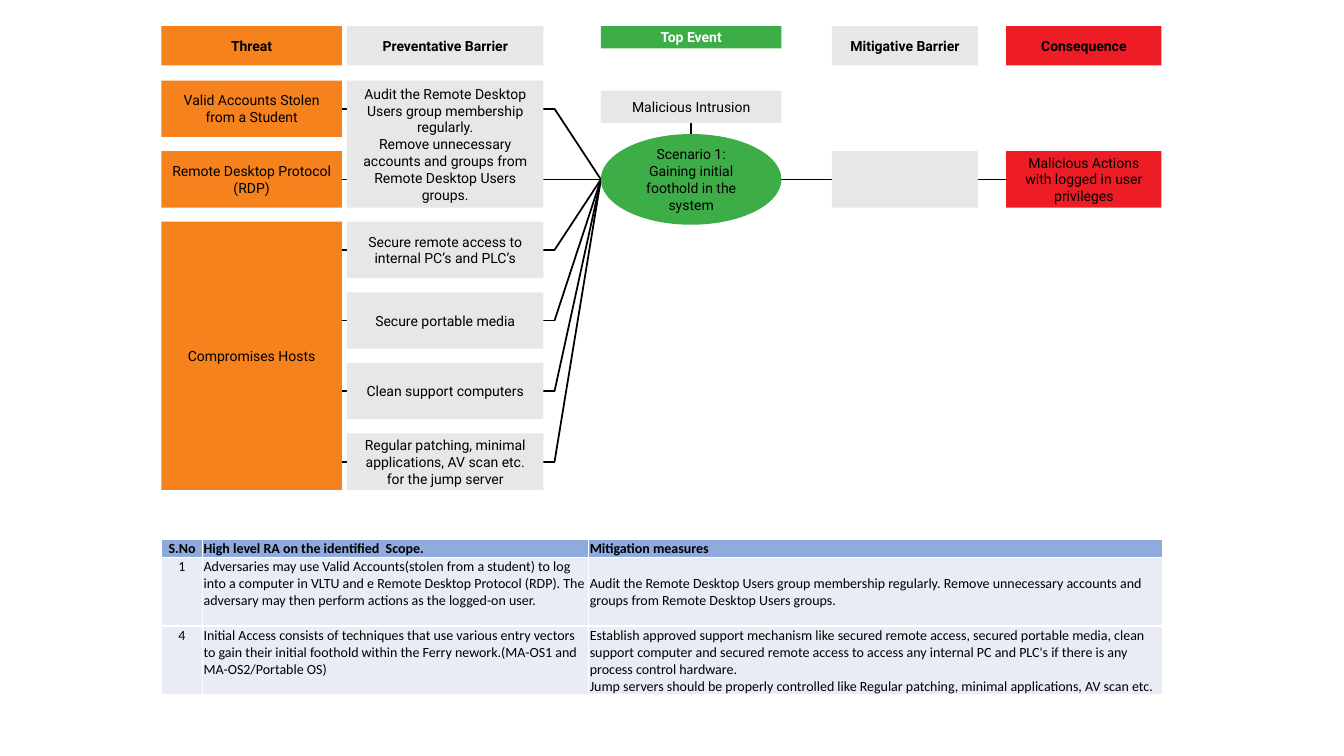
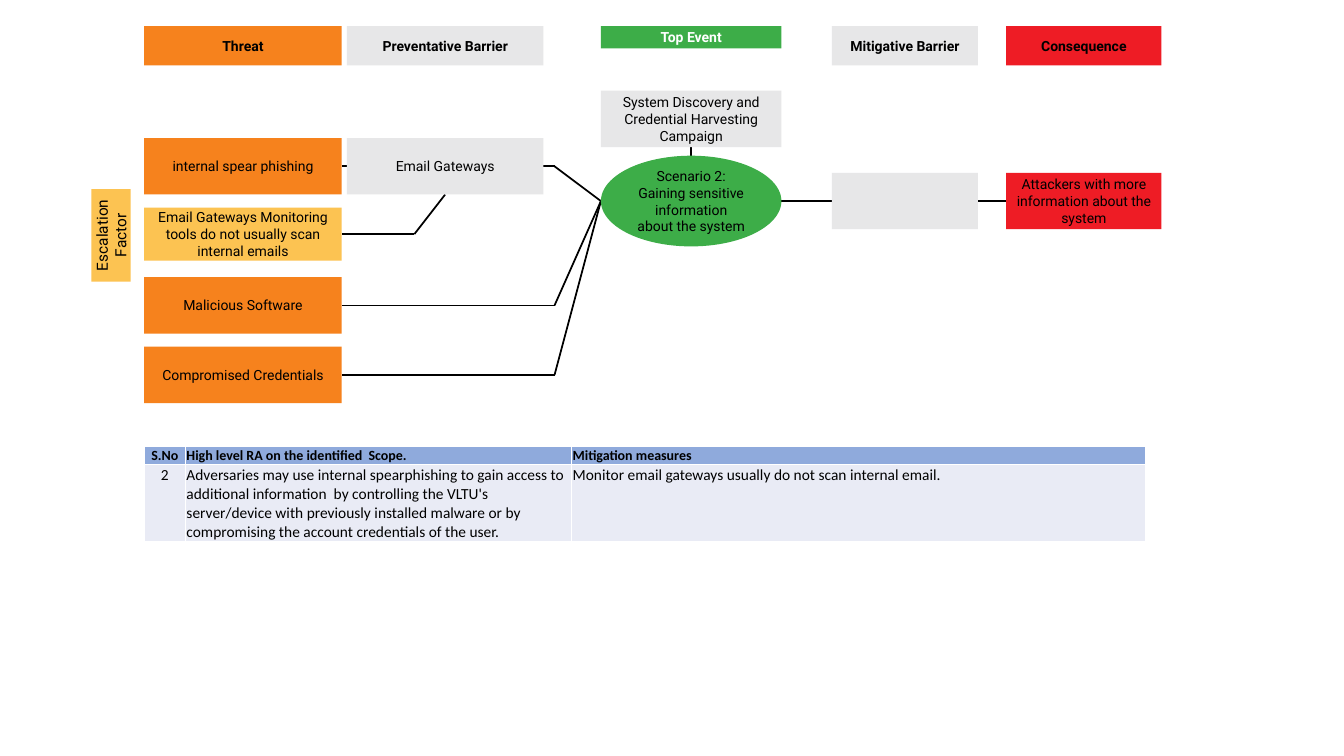
import collections

import lxml.etree
import pptx
import pptx.dml.color
import pptx.enum.shapes
import pptx.enum.text
import pptx.oxml.ns
import pptx.util

RGBColor = pptx.dml.color.RGBColor
BLACK = RGBColor(0x00, 0x00, 0x00)
WHITE = RGBColor(0xFF, 0xFF, 0xFF)
ORANGE = RGBColor(0xF6, 0x82, 0x1D)
AMBER = RGBColor(0xFC, 0xC3, 0x52)
GREY = RGBColor(0xE7, 0xE7, 0xE8)
GREEN = RGBColor(0x3D, 0xAD, 0x48)
RED = RGBColor(0xEE, 0x1C, 0x25)
HEADER_BLUE = RGBColor(0x8F, 0xAA, 0xDC)
BODY_BLUE = RGBColor(0xE9, 0xEB, 0xF5)

RECTANGLE = pptx.enum.shapes.MSO_SHAPE.RECTANGLE
OVAL = pptx.enum.shapes.MSO_SHAPE.OVAL
STRAIGHT = pptx.enum.shapes.MSO_CONNECTOR.STRAIGHT
CENTER = pptx.enum.text.PP_ALIGN.CENTER
LEFT_ALIGNED = pptx.enum.text.PP_ALIGN.LEFT
MIDDLE = pptx.enum.text.MSO_ANCHOR.MIDDLE
TOP_ANCHOR = pptx.enum.text.MSO_ANCHOR.TOP
BOTTOM_ANCHOR = pptx.enum.text.MSO_ANCHOR.BOTTOM
TOP, LEFT, BOTTOM, RIGHT = range(4)

Column = collections.namedtuple("Column", "left width")
BARRIER = Column(3.44, 1.95)
EVENT = Column(5.96, 1.79)
MITIGATION = Column(8.25, 1.45)
CONSEQUENCE = Column(9.98, 1.54)
BEND = 5.5
HEADER_TOP = 0.26
HEADER_HEIGHT = 0.39
CAUSE_TOP = 0.9
EVENT_HEIGHT = 0.9
BOX_HEIGHT = 0.56
TABLE_COLUMNS = (0.41, 3.83, 5.69)
TABLE_HEADINGS = ("S.No", "High level RA on the identified  Scope.", "Mitigation measures")
TABLE_HEADER_HEIGHT = 0.18


class BowtieDeck:
    def __init__(self):
        self.presentation = pptx.Presentation()
        self.presentation.slide_width = pptx.util.Inches(13.33)
        self.presentation.slide_height = pptx.util.Inches(7.5)

    def start_slide(self, threat_column, first_row, pitch):
        self.slide = self.presentation.slides.add_slide(self.presentation.slide_layouts[6])
        self.threat_column = threat_column
        self.first_row = first_row
        self.pitch = pitch
        self.headers()

    def row_top(self, row):
        return self.first_row + row * self.pitch

    def row_middle(self, row):
        return self.row_top(row) + BOX_HEIGHT / 2

    def format_text(self, text_frame, text, size, font, color=BLACK, bold=False, alignment=CENTER):
        text_frame.text = text
        for paragraph in text_frame.paragraphs:
            paragraph.alignment = alignment
            paragraph.font.name = font
            paragraph.font.size = pptx.util.Pt(size)
            paragraph.font.bold = bold
            paragraph.font.color.rgb = color

    def block(self, column, top, height, fill, text="", kind=RECTANGLE, size=10,
              color=BLACK, bold=False):
        lengths = (column.left, top, column.width, height)
        shape = self.slide.shapes.add_shape(kind, *map(pptx.util.Inches, lengths))
        shape.shadow.inherit = False
        shape.fill.solid()
        shape.fill.fore_color.rgb = fill
        shape.line.fill.background()
        shape.text_frame.word_wrap = True
        shape.text_frame.vertical_anchor = MIDDLE
        if text:
            self.format_text(shape.text_frame, text, size, "Roboto", color, bold)
        return shape

    def box(self, column, row, fill, text="", span=1):
        height = (span - 1) * self.pitch + BOX_HEIGHT
        return self.block(column, self.row_top(row), height, fill, text)

    def threat(self, row, text, span=1):
        return self.box(self.threat_column, row, ORANGE, text, span)

    def headers(self):
        for column, fill, text in (
            (self.threat_column, ORANGE, "Threat"),
            (BARRIER, GREY, "Preventative Barrier"),
            (MITIGATION, GREY, "Mitigative Barrier"),
            (CONSEQUENCE, RED, "Consequence"),
        ):
            self.block(column, HEADER_TOP, HEADER_HEIGHT, fill, text, bold=True)
        self.block(EVENT, HEADER_TOP, 0.22, GREEN, "Top Event", color=WHITE, bold=True)

    def line(self, start, end):
        ends = (start, end)
        points = [(0, 0) if hasattr(point[0], "shape_id") else point for point in ends]
        lengths = [pptx.util.Inches(value) for point in points for value in point]
        connector = self.slide.shapes.add_connector(STRAIGHT, *lengths)
        for point, connect in zip(ends, (connector.begin_connect, connector.end_connect)):
            if hasattr(point[0], "shape_id"):
                connect(*point)
        connector.line.color.rgb = BLACK
        connector.line.width = pptx.util.Pt(1.25)
        properties = connector.element.spPr
        lxml.etree.SubElement(properties, pptx.oxml.ns.qn("a:effectLst"))
        connector.element.getparent().insert(2, connector.element)

    def event(self, row, cause, cause_height, scenario, consequence):
        middle = self.row_middle(row)
        top = middle - EVENT_HEIGHT / 2
        self.event_left = (EVENT.left, middle)
        cause_box = self.block(EVENT, CAUSE_TOP, cause_height, GREY, cause)
        self.block(EVENT, top, EVENT_HEIGHT, GREEN, scenario, OVAL)
        mitigation_box = self.box(MITIGATION, row, GREY)
        consequence_box = self.box(CONSEQUENCE, row, RED, consequence)
        self.line((cause_box, BOTTOM), (EVENT.left + EVENT.width / 2, top))
        self.line((EVENT.left + EVENT.width, middle), (mitigation_box, LEFT))
        self.line((mitigation_box, RIGHT), (consequence_box, LEFT))

    def path_to_event(self, row, start=None):
        bend = (BEND, self.row_middle(row))
        right_edge = self.threat_column.left + self.threat_column.width
        self.line(start or (right_edge, bend[1]), bend)
        self.line(bend, self.event_left)

    def fill_cell(self, cell, text, size, fill, bold, alignment, anchor):
        cell.margin_left = cell.margin_right = cell.margin_top = pptx.util.Inches(0.01)
        cell.margin_bottom = 0
        cell.vertical_anchor = anchor
        self.format_text(cell.text_frame, text, size, "Calibri", BLACK, bold, alignment)
        properties = cell._tc.get_or_add_tcPr()
        for side in ("a:lnL", "a:lnR", "a:lnT", "a:lnB"):
            border = lxml.etree.SubElement(properties, pptx.oxml.ns.qn(side), w="12700")
            solid = lxml.etree.SubElement(border, pptx.oxml.ns.qn("a:solidFill"))
            lxml.etree.SubElement(solid, pptx.oxml.ns.qn("a:srgbClr"), val=str(WHITE))
        cell.fill.solid()
        cell.fill.fore_color.rgb = fill

    def table(self, top, row_height, size, records, centered_cells=()):
        heights = [TABLE_HEADER_HEIGHT] + [row_height] * len(records)
        lengths = (self.threat_column.left, top, sum(TABLE_COLUMNS), sum(heights))
        table = self.slide.shapes.add_table(
            len(heights), len(TABLE_COLUMNS), *map(pptx.util.Inches, lengths)).table
        table.first_row = table.horz_banding = False
        for column, width in zip(table.columns, TABLE_COLUMNS):
            column.width = pptx.util.Inches(width)
        for row, height in zip(table.rows, heights):
            row.height = pptx.util.Inches(height)
        for row_index, texts in enumerate([TABLE_HEADINGS] + records):
            heading = row_index == 0
            for column_index, text in enumerate(texts):
                anchor = BOTTOM_ANCHOR if heading else TOP_ANCHOR
                if (row_index, column_index) in centered_cells:
                    anchor = MIDDLE
                self.fill_cell(
                    table.cell(row_index, column_index), text, 10 if heading else size,
                    HEADER_BLUE if heading else BODY_BLUE, heading,
                    CENTER if column_index == 0 else LEFT_ALIGNED, anchor)


def intrusion_slide(deck):
    deck.start_slide(Column(1.6, 1.79), first_row=0.8, pitch=0.7)
    deck.event(1, "Malicious Intrusion", 0.32,
               "Scenario 1: Gaining initial foothold in the system",
               "Malicious Actions with logged in user privileges")
    for row, text in enumerate(("Valid Accounts Stolen from a Student",
                                "Remote Desktop Protocol (RDP)")):
        deck.path_to_event(row, (deck.threat(row, text), RIGHT))
    deck.threat(2, "Compromises Hosts", span=4)
    deck.box(BARRIER, 0, GREY,
             "Audit the Remote Desktop Users group membership regularly.\n"
             "Remove unnecessary accounts and groups from Remote Desktop Users groups.", span=2)
    for row, text in enumerate((
        "Secure remote access to internal PC’s and PLC’s",
        "Secure portable media",
        "Clean support computers",
        "Regular patching, minimal applications, AV scan etc. for the jump server",
    ), start=2):
        deck.box(BARRIER, row, GREY, text)
        deck.path_to_event(row)
    deck.table(5.35, 0.68, 10, [
        ("1",
         "Adversaries may use Valid Accounts(stolen from a student) to log into a computer in "
         "VLTU and e Remote Desktop Protocol (RDP). The adversary may then perform actions as "
         "the logged-on user.",
         "Audit the Remote Desktop Users group membership regularly. Remove unnecessary "
         "accounts and groups from Remote Desktop Users groups."),
        ("4",
         "Initial Access consists of techniques that use various entry vectors to gain their "
         "initial foothold within the Ferry nework.(MA-OS1 and MA-OS2/Portable OS)",
         "Establish approved support mechanism like secured remote access, secured portable "
         "media, clean support computer and secured remote access to access any internal PC "
         "and PLC's if there is any process control hardware.\n"
         "Jump servers should be properly controlled like Regular patching, minimal "
         "applications, AV scan etc."),
    ], centered_cells={(1, 2)})


def discovery_slide(deck):
    deck.start_slide(Column(1.43, 1.96), first_row=1.37, pitch=0.69)
    deck.event(0.5, "System Discovery and Credential Harvesting Campaign", BOX_HEIGHT,
               "Scenario 2: Gaining sensitive information about the system",
               "Attackers with more information about the system")
    for row, text in ((0, "internal spear phishing"), (2, "Malicious Software"),
                      (3, "Compromised Credentials")):
        deck.path_to_event(row, (deck.threat(row, text), RIGHT))
    gateways = deck.box(BARRIER, 0, GREY, "Email Gateways")
    escalation = deck.box(deck.threat_column, 1, AMBER,
                          "Email Gateways Monitoring tools do not usually scan internal emails",
                          span=0.95)
    escalation_bend = (4.11, deck.row_top(1) + escalation.height.inches / 2)
    deck.line((escalation, RIGHT), escalation_bend)
    deck.line(escalation_bend, (gateways, BOTTOM))
    label = deck.block(Column(0.64, 0.92), 2.14, 0.39, AMBER, "Escalation Factor", size=11)
    label.rotation = 270
    deck.table(4.43, 0.76, 11, [
        ("2",
         "Adversaries may use internal spearphishing to gain access to additional information  "
         "by controlling the VLTU's server/device with previously installed malware or by "
         "compromising the account credentials of the user.",
         "Monitor email gateways usually do not scan internal email."),
    ])


def main():
    deck = BowtieDeck()
    intrusion_slide(deck)
    discovery_slide(deck)
    deck.presentation.save("out.pptx")


if __name__ == "__main__":
    main()
